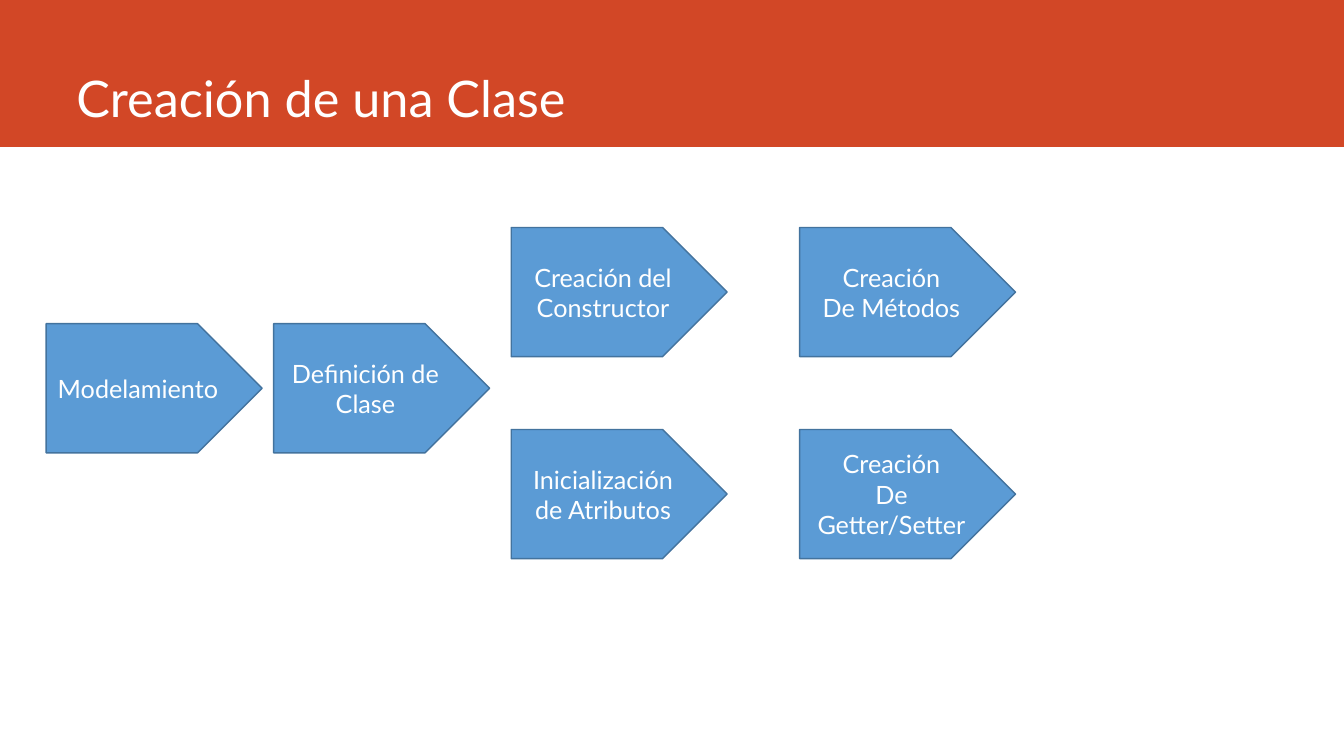
from dataclasses import dataclass

from pptx import Presentation
from pptx.dml.color import RGBColor
from pptx.enum.shapes import MSO_SHAPE
from pptx.enum.text import MSO_ANCHOR, PP_ALIGN
from pptx.util import Pt

RECTANGLE = MSO_SHAPE.RECTANGLE
PENTAGON = MSO_SHAPE.PENTAGON
BOTTOM = MSO_ANCHOR.BOTTOM
MIDDLE = MSO_ANCHOR.MIDDLE
LEFT = PP_ALIGN.LEFT
CENTER = PP_ALIGN.CENTER


@dataclass(frozen=True)
class Theme:
    font: str = "Lato"
    title_size: int = 36
    step_size: int = 18
    banner: RGBColor = RGBColor(0xD2, 0x47, 0x26)
    step: RGBColor = RGBColor(0x5B, 0x9B, 0xD5)
    outline: RGBColor = RGBColor(0x43, 0x73, 0x9E)
    text: RGBColor = RGBColor(0xFF, 0xFF, 0xFF)


THEME = Theme()
PAGE_WIDTH, PAGE_HEIGHT = 960, 540
STEP_WIDTH, STEP_HEIGHT = 154.2, 92.3
UPPER, CENTRAL, LOWER = 162.5, 231.2, 306.8

STEPS = [
    (33, CENTRAL, ["Modelamiento"]),
    (195.5, CENTRAL, ["Definición de Clase"]),
    (365.2, UPPER, ["Creación del Constructor"]),
    (365.2, LOWER, ["Inicialización de Atributos"]),
    (571.2, LOWER, ["Creación", "De Getter/Setter"]),
    (571.2, UPPER, ["Creación", "De Métodos"]),
]


def write_text(frame, lines, size, anchor, align):
    frame.word_wrap = True
    frame.vertical_anchor = anchor
    for index, line in enumerate(lines):
        para = frame.add_paragraph() if index else frame.paragraphs[0]
        para.alignment = align
        span = para.add_run()
        span.text = line
        span.font.name = THEME.font
        span.font.size = Pt(size)
        span.font.color.rgb = THEME.text


def add_filled_shape(page, kind, left, top, width, height, fill):
    shape = page.shapes.add_shape(kind, Pt(left), Pt(top), Pt(width), Pt(height))
    shape.shadow.inherit = False
    shape.fill.solid()
    shape.fill.fore_color.rgb = fill
    return shape


def add_banner(page):
    banner = add_filled_shape(page, RECTANGLE, 0, 0, PAGE_WIDTH, 105, THEME.banner)
    banner.line.fill.background()


def add_title(page, text):
    box = page.shapes.add_textbox(Pt(47.5), Pt(0), Pt(847), Pt(95))
    write_text(box.text_frame, [text], THEME.title_size, BOTTOM, LEFT)


def add_step(page, left, top, lines):
    step = add_filled_shape(page, PENTAGON, left, top, STEP_WIDTH, STEP_HEIGHT, THEME.step)
    step.line.color.rgb = THEME.outline
    step.line.width = Pt(1)
    write_text(step.text_frame, lines, THEME.step_size, MIDDLE, CENTER)


def main():
    deck = Presentation()
    deck.slide_width = Pt(PAGE_WIDTH)
    deck.slide_height = Pt(PAGE_HEIGHT)
    page = deck.slides.add_slide(deck.slide_layouts[6])
    add_banner(page)
    add_title(page, "Creación de una Clase")
    for left, top, lines in STEPS:
        add_step(page, left, top, lines)
    deck.save("out.pptx")


if __name__ == "__main__":
    main()
